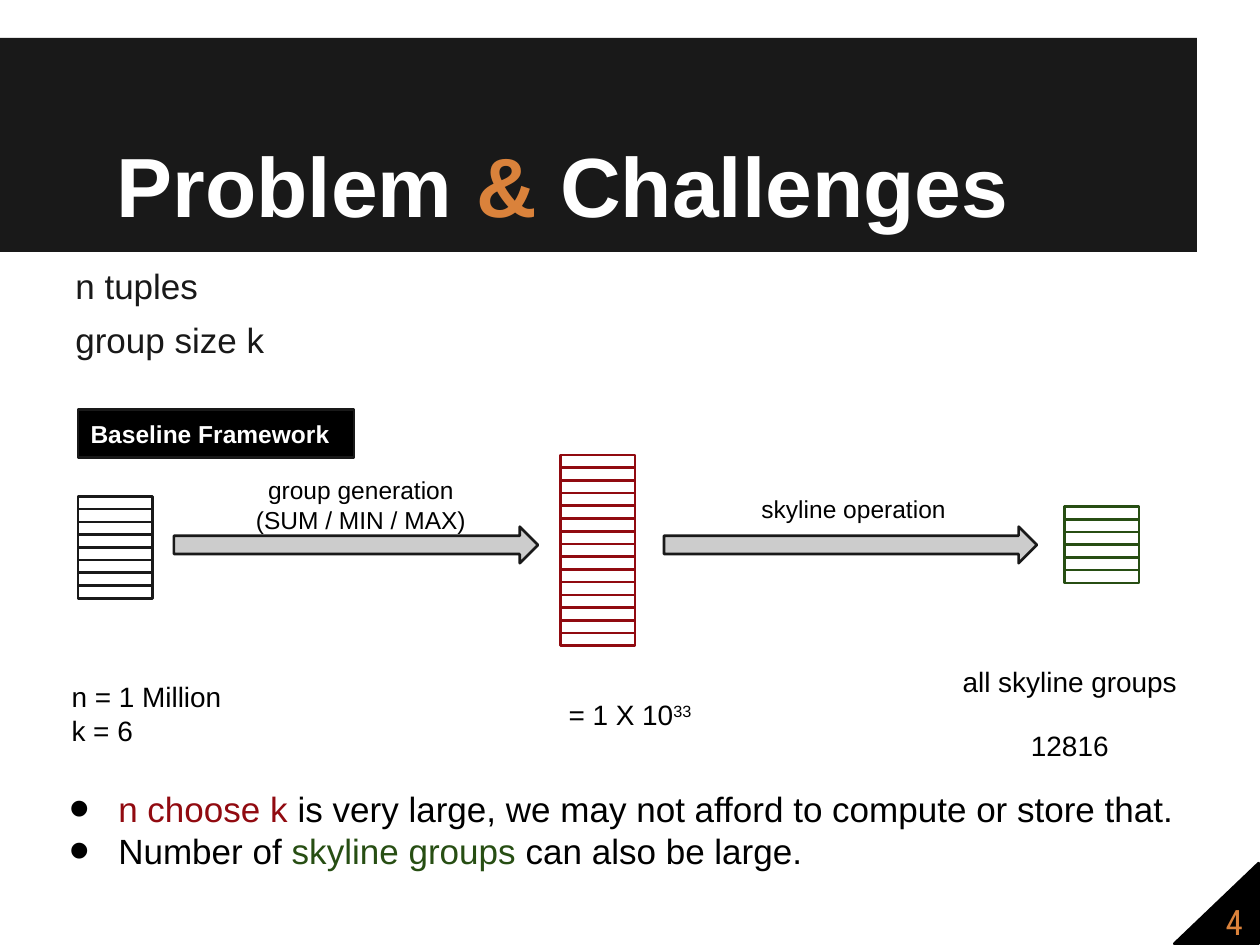
from lxml import etree
from pptx import Presentation
from pptx import util as u
from pptx.dml.color import RGBColor
from pptx.enum import shapes, text
from pptx.oxml.ns import qn

DARK, BLACK, WHITE = "191919", "000000", "FFFFFF"
RED, GREEN, ORANGE, GREY = "910A10", "274E13", "DA823B", "CCCCCC"
COLUMNS, ROWS = 100, 75
LEFT, CENTER = text.PP_ALIGN.LEFT, text.PP_ALIGN.CENTER
MIDDLE, TOP, BOTTOM = (text.MSO_ANCHOR.MIDDLE, text.MSO_ANCHOR.TOP,
                       text.MSO_ANCHOR.BOTTOM)
RECTANGLE = shapes.MSO_SHAPE.RECTANGLE


def color(value):
    return RGBColor.from_string(value)


class Deck:
    """Holds the style and the current slide; places are (column, row, width, height)."""

    font = "Arial"
    line_width = 1.5

    def __init__(self):
        self.presentation = Presentation()
        self.presentation.slide_width = u.Inches(10)
        self.presentation.slide_height = u.Inches(7.5)
        self.slide = self.presentation.slides.add_slide(
            self.presentation.slide_layouts[6])

    def box(self, place):
        column = self.presentation.slide_width / COLUMNS
        row = self.presentation.slide_height / ROWS
        return [round(n * size) for n, size in zip(place, (column, row) * 2)]

    def shape(self, kind, place, fill=None, line=None):
        shape = self.slide.shapes.add_shape(kind, *self.box(place))
        shape.shadow.inherit = False
        if fill:
            shape.fill.solid()
            shape.fill.fore_color.rgb = color(fill)
        else:
            shape.fill.background()
        if line:
            shape.line.color.rgb = color(line)
            shape.line.width = u.Pt(self.line_width)
        else:
            shape.line.fill.background()
        return shape

    def stack(self, column, row, count, line, fill=None):
        """Draw a pile of tuples, one thin rectangle each."""
        pitch = 1.01
        for index in range(count):
            self.shape(RECTANGLE, (column, row + index * pitch, 5.9, pitch), fill, line)

    def textbox(self, place, paragraphs, **style):
        shape = self.slide.shapes.add_textbox(*self.box(place))
        self.set_text(shape, paragraphs, **style)
        return shape

    def set_text(self, shape, paragraphs, size, ink=BLACK, bold=False, align=LEFT,
                 anchor=MIDDLE, gap=0, font=None, bullets=False):
        """Fill a shape; a paragraph is a string or a list of (words, colour) runs."""
        frame = shape.text_frame
        frame.word_wrap = True
        frame.vertical_anchor = anchor
        frame.margin_left = frame.margin_right = u.Inches(0.1)
        frame.margin_top = frame.margin_bottom = u.Inches(0.1)
        for index, content in enumerate(paragraphs):
            paragraph = frame.add_paragraph() if index else frame.paragraphs[0]
            paragraph.alignment = align
            if index and gap:
                paragraph.space_before = u.Pt(gap)
            if bullets:
                self.bullet(paragraph)
            runs = [(content, ink)] if isinstance(content, str) else content
            for words, run_color in runs:
                run = paragraph.add_run()
                run.text = words
                run.font.name = font or self.font
                run.font.size = u.Pt(size)
                run.font.bold = bold
                run.font.color.rgb = color(run_color)

    def bullet(self, paragraph):
        properties = paragraph._p.get_or_add_pPr()
        properties.set("marL", str(u.Inches(0.5)))
        properties.set("indent", str(u.Inches(-0.39)))
        bullet_color = etree.SubElement(properties, qn("a:buClr"))
        etree.SubElement(bullet_color, qn("a:srgbClr"), val=BLACK)
        etree.SubElement(properties, qn("a:buSzPct"), val="167000")
        etree.SubElement(properties, qn("a:buFont"), typeface=self.font)
        etree.SubElement(properties, qn("a:buChar"), char="•")

    def arrow(self, column, width):
        self.shape(shapes.MSO_SHAPE.RIGHT_ARROW, (column, 41.8, width, 2.9), GREY, DARK)

    def page_number(self, number):
        corner = self.shape(shapes.MSO_SHAPE.RIGHT_TRIANGLE,
                            (93.2, 68.5, 6.7, 6.4), BLACK, BLACK)
        corner._element.spPr.find(qn("a:xfrm")).set("flipH", "1")
        self.textbox((95.5, 71.4, 4.9, 3.5), [number], size=20, ink=ORANGE,
                     align=CENTER, font="Roboto Condensed")


def main():
    deck = Deck()

    deck.shape(RECTANGLE, (0, 3, 95, 17), DARK)
    deck.textbox((8.3, 3, 86.7, 16.6),
                 [[("Problem ", WHITE), ("&", ORANGE), (" Challenges", WHITE)]],
                 size=48, bold=True, anchor=BOTTOM)
    deck.textbox((5, 19.1, 90, 11.4), ["n tuples", "group size k"],
                 size=20, ink=DARK, gap=7)

    deck.stack(6.2, 39.4, 8, DARK, WHITE)
    deck.stack(44.5, 36.1, 15, RED, WHITE)
    deck.stack(84.5, 40.2, 6, GREEN)
    deck.arrow(13.8, 28.9)
    deck.arrow(52.7, 29.6)

    deck.textbox((4.7, 53.2, 14.3, 6.8), ["n = 1 Million", "k = 6"], size=16)
    count = deck.textbox((43.2, 53.3, 13.6, 6.8),
                         [[("= 1 X 10", BLACK), ("33", BLACK)]], size=16, align=CENTER)
    exponent = count.text_frame.paragraphs[0].runs[-1]
    exponent._r.get_or_add_rPr().set("baseline", "30000")
    deck.textbox((74.5, 53.2, 20.8, 6.8), ["all skyline groups", "12816"],
                 size=16, align=CENTER, gap=17)

    deck.page_number("4")
    deck.textbox((3.4, 61.5, 93.8, 10), [
        [("n choose k ", RED),
         ("is very large, we may not afford to compute or store that.", BLACK)],
        [("Number of ", BLACK), ("skyline groups", GREEN),
         (" can also be large.", BLACK)],
    ], size=20, anchor=TOP, bullets=True)

    deck.textbox((17.3, 39, 22.7, 2.1), ["group generation", "(SUM / MIN / MAX)"],
                 size=14, align=CENTER)
    deck.textbox((56.4, 39.3, 22.7, 2.1), ["skyline operation"], size=14, align=CENTER)
    label = deck.shape(RECTANGLE, (6.2, 32.5, 21.9, 3.8), BLACK, DARK)
    deck.set_text(label, ["Baseline Framework"], size=14, ink=WHITE, bold=True)

    deck.presentation.save("out.pptx")


if __name__ == "__main__":
    main()
